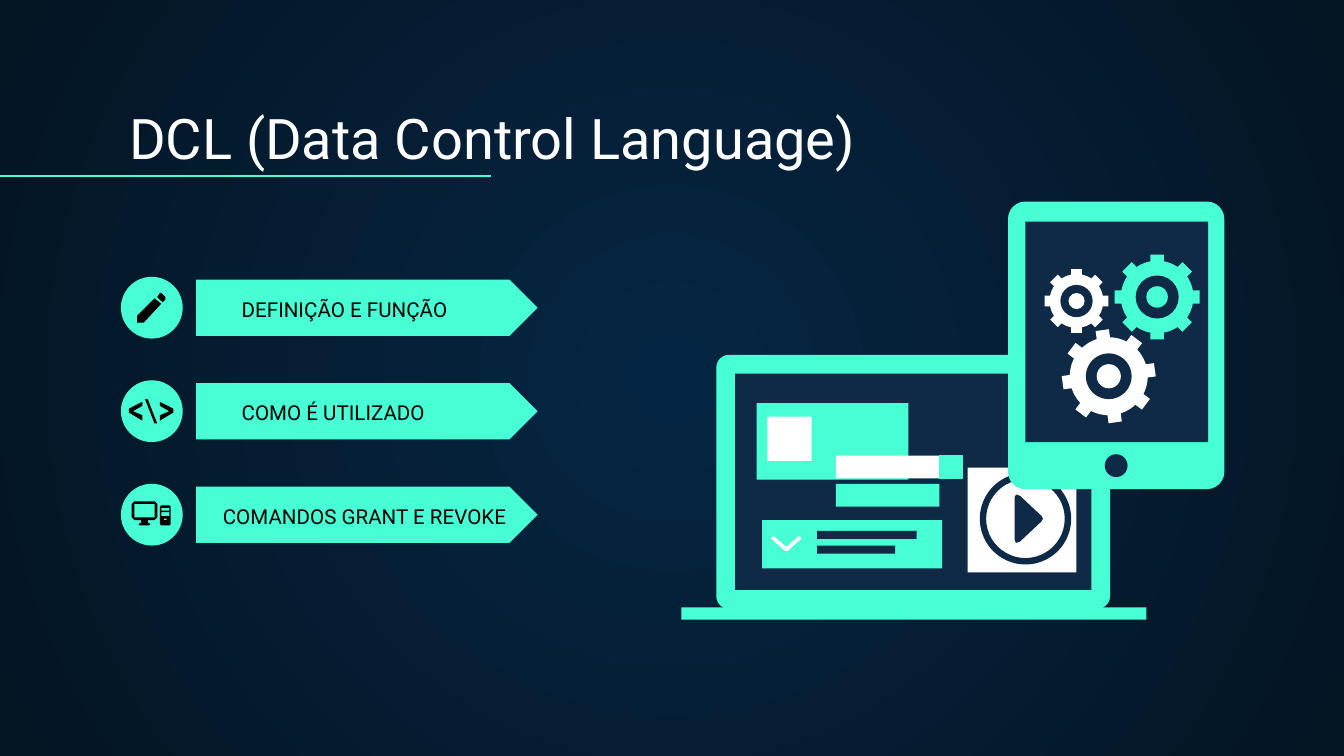
from dataclasses import dataclass
from math import cos, pi, sin
from typing import List, Tuple

from lxml.etree import SubElement
from pptx import Presentation
from pptx.dml.color import RGBColor
from pptx.enum.shapes import MSO_CONNECTOR, MSO_SHAPE
from pptx.enum.text import MSO_ANCHOR, MSO_AUTO_SIZE, PP_ALIGN
from pptx.oxml.ns import qn
from pptx.util import Inches, Pt

Path = List[Tuple[float, float]]
HUES = {"mint": "48FFD5", "navy": "0E2A47", "white": "FFFFFF", "black": "000000",
        "core": "052643", "edge": "041523"}
FONT = "Roboto"
TOP, STEP = 2.06, 0.77


@dataclass
class Row:
    left: float
    label: str


@dataclass
class Part:
    kind: MSO_SHAPE
    left: float
    top: float
    width: float
    height: float
    hue: str
    adjust: float = 0
    edge: float = 0


@dataclass
class Gear:
    x: float
    y: float
    outer: float
    body: float
    tooth: float
    ring: float
    hub: float
    hue: str
    turn: float = 0


RECT, ROUND, OVAL = MSO_SHAPE.RECTANGLE, MSO_SHAPE.ROUNDED_RECTANGLE, MSO_SHAPE.OVAL

ROWS = [
    Row(1.7, "DEFINIÇÃO E FUNÇÃO"),
    Row(1.7, "COMO É UTILIZADO"),
    Row(1.56, "COMANDOS GRANT E REVOKE"),
]

LAPTOP = [
    Part(ROUND, 5.33, 2.64, 2.93, 1.89, "mint", 0.05),
    Part(RECT, 5.47, 2.78, 2.65, 1.61, "navy"),
    Part(RECT, 5.07, 4.52, 3.46, 0.09, "mint"),
    Part(RECT, 5.63, 3, 1.13, 0.57, "mint"),
    Part(RECT, 5.71, 3.1, 0.33, 0.33, "white"),
    Part(RECT, 5.67, 3.87, 1.34, 0.36, "mint"),
    Part(RECT, 6.08, 3.95, 0.74, 0.06, "navy"),
    Part(RECT, 6.08, 4.06, 0.58, 0.06, "navy"),
    Part(RECT, 6.22, 3.6, 0.77, 0.17, "mint"),
    Part(RECT, 6.22, 3.39, 0.77, 0.17, "white"),
    Part(RECT, 6.99, 3.39, 0.17, 0.17, "mint", edge=0.75),
    Part(RECT, 7.2, 3.48, 0.81, 0.78, "white"),
    Part(MSO_SHAPE.DONUT, 7.29, 3.52, 0.68, 0.68, "navy", 0.07),
]
CHECK = [(5.75, 3.99), (5.76, 3.99), (5.85, 4.07), (5.94, 3.99), (5.95, 3.99),
         (5.96, 4), (5.96, 4.01), (5.86, 4.1), (5.84, 4.1), (5.74, 4.01), (5.74, 4)]
PLAY = [(7.56, 3.68), (7.59, 3.69), (7.75, 3.84), (7.76, 3.86), (7.75, 3.88),
        (7.59, 4.03), (7.56, 4.04), (7.55, 4.02), (7.55, 3.7)]

TABLET = [
    Part(ROUND, 7.5, 1.5, 1.61, 2.14, "mint", 0.08),
    Part(RECT, 7.63, 1.65, 1.36, 1.64, "navy"),
    Part(OVAL, 8.22, 3.38, 0.17, 0.17, "navy"),
]
GEARS = [
    Gear(8.61, 2.21, 0.32, 0.27, 0.05, 0.16, 0.08, "mint"),
    Gear(8.01, 2.24, 0.24, 0.2, 0.04, 0.12, 0.06, "white"),
    Gear(8.25, 2.8, 0.35, 0.29, 0.05, 0.17, 0.09, "white", -8),
]


def box(x: float, y: float, w: float, h: float) -> Path:
    return [(x, y), (x + w, y), (x + w, y + h), (x, y + h)]


def chip(x: float, y: float, w: float, h: float, cut: float) -> Path:
    r, b = x + w, y + h
    return [(x + cut, y), (r - cut, y), (r, y + cut), (r, b - cut),
            (r - cut, b), (x + cut, b), (x, b - cut), (x, y + cut)]


PENCIL = [
    [(1.19, 2.18), (1.2, 2.18), (1.23, 2.21), (1.23, 2.23), (1.21, 2.25), (1.17, 2.21)],
    [(1.15, 2.22), (1.02, 2.35), (1.02, 2.4), (1.07, 2.4), (1.2, 2.26)],
]
CODE = [
    [(1.06, 3.13), (0.96, 3.07), (0.96, 3.04), (1.06, 2.99), (1.06, 3.02),
     (0.99, 3.06), (1.06, 3.09)],
    [(1.15, 3.15), (1.08, 2.97), (1.1, 2.97), (1.17, 3.15)],
    [(1.19, 3.13), (1.19, 3.09), (1.26, 3.06), (1.19, 3.02), (1.19, 2.99),
     (1.29, 3.04), (1.29, 3.07)],
]
SCREEN = [
    [(1, 3.73), (1.15, 3.73), (1.17, 3.75), (1.17, 3.85), (1.15, 3.87), (1.1, 3.87),
     (1.1, 3.89), (1.12, 3.9), (1.11, 3.91), (1.04, 3.91), (1.03, 3.9), (1.05, 3.89),
     (1.05, 3.87), (1, 3.87), (0.98, 3.85), (0.98, 3.75)],
    box(1, 3.75, 0.15, 0.1),
]
TOWER = [chip(1.19, 3.76, 0.08, 0.15, 0.01), box(1.2, 3.78, 0.06, 0.02),
         box(1.2, 3.81, 0.06, 0.03), box(1.22, 3.86, 0.02, 0.01)]


def color(hue: str) -> RGBColor:
    return RGBColor.from_string(HUES[hue])


def paint(shape, hue: str, edge: float = 0) -> None:
    shape.shadow.inherit = False
    shape.fill.solid()
    shape.fill.fore_color.rgb = color(hue)
    if edge:
        shape.line.color.rgb = color(hue)
        shape.line.width = Pt(edge)
    else:
        shape.line.fill.background()


def place(slide, part: Part) -> None:
    spot = [Inches(v) for v in (part.left, part.top, part.width, part.height)]
    shape = slide.shapes.add_shape(part.kind, *spot)
    if part.adjust:
        shape.adjustments[0] = part.adjust
    paint(shape, part.hue, part.edge)


def trace(slide, paths: List[Path], hue: str) -> None:
    pens = [[(Inches(x), Inches(y)) for x, y in path] for path in paths]
    form = slide.shapes.build_freeform(*pens[0][0])
    for i, pen in enumerate(pens):
        if i:
            form.move_to(*pen[0])
        form.add_line_segments(pen[1:], close=True)
    paint(form.convert_to_shape(), hue)


def disc(slide, x: float, y: float, r: float, hue: str) -> None:
    place(slide, Part(OVAL, x - r, y - r, 2 * r, 2 * r, hue))


def spin(slide, gear: Gear) -> None:
    rim = []
    for i in range(8):
        mid = i * pi / 4 + gear.turn * pi / 180
        low, high = gear.tooth / gear.body, gear.tooth / gear.outer
        spots = [(gear.body, -low), (gear.outer, -high), (gear.outer, high)]
        spots += [(gear.body, low + (pi / 4 - 2 * low) * k / 6) for k in range(6)]
        rim += [(gear.x + r * sin(mid + a), gear.y - r * cos(mid + a)) for r, a in spots]
    trace(slide, [rim], gear.hue)
    disc(slide, gear.x, gear.y, gear.ring, "navy")
    disc(slide, gear.x, gear.y, gear.hub, gear.hue)


def write(shape, text: str, size: float, hue: str) -> None:
    frame = shape.text_frame
    frame.text = text
    frame.word_wrap = True
    frame.auto_size = MSO_AUTO_SIZE.NONE
    frame.vertical_anchor = MSO_ANCHOR.BOTTOM
    frame.margin_left = frame.margin_right = Inches(0.1)
    frame.margin_top = frame.margin_bottom = Inches(0.1)
    para = frame.paragraphs[0]
    para.alignment = PP_ALIGN.LEFT
    para.font.name, para.font.size = FONT, Pt(size)
    para.font.color.rgb = color(hue)


def shade(slide) -> None:
    fill = slide.background.fill
    fill.gradient()
    for stop, hue, at in zip(fill.gradient_stops, ("core", "edge"), (0, 1)):
        stop.color.rgb = color(hue)
        stop.position = at
    grad = slide.background._cSld.find(".//" + qn("a:gradFill"))
    grad.remove(grad.find(qn("a:lin")))
    ring = SubElement(grad, qn("a:path"), {"path": "circle"})
    SubElement(ring, qn("a:fillToRect"), {side: "50000" for side in "ltrb"})


def main() -> None:
    deck = Presentation()
    deck.slide_width, deck.slide_height = Inches(10), Inches(10 * 9 / 16)
    slide = deck.slides.add_slide(deck.slide_layouts[5])
    shade(slide)

    title = slide.shapes.title
    title.left, title.top = Inches(0.86), Inches(0.71)
    title.width, title.height = Inches(8.8), Inches(0.66)
    write(title, "DCL (Data Control Language)", 30, "white")
    rule = slide.shapes.add_connector(
        MSO_CONNECTOR.STRAIGHT, 0, Inches(1.31), Inches(3.65), Inches(1.31))
    rule.line.color.rgb, rule.line.width = color("mint"), Pt(0.75)
    SubElement(rule._element.spPr, qn("a:effectLst"))

    for i, row in enumerate(ROWS):
        top = TOP + i * STEP
        place(slide, Part(MSO_SHAPE.PENTAGON, 1.46, top + 0.02, 2.54, 0.42, "mint", 0.5))
        place(slide, Part(OVAL, 0.9, top, 0.46, 0.46, "mint"))
        label = slide.shapes.add_textbox(
            Inches(row.left), Inches(top + 0.22), Inches(3.98 - row.left), Inches(0.21))
        write(label, row.label, 11, "black")
    for icon in (PENCIL, CODE, SCREEN, TOWER):
        trace(slide, icon, "black")

    for part in LAPTOP:
        place(slide, part)
    trace(slide, [CHECK], "white")
    trace(slide, [PLAY], "navy")
    for part in TABLET:
        place(slide, part)
    for gear in GEARS:
        spin(slide, gear)
    deck.save("out.pptx")


if __name__ == "__main__":
    main()
